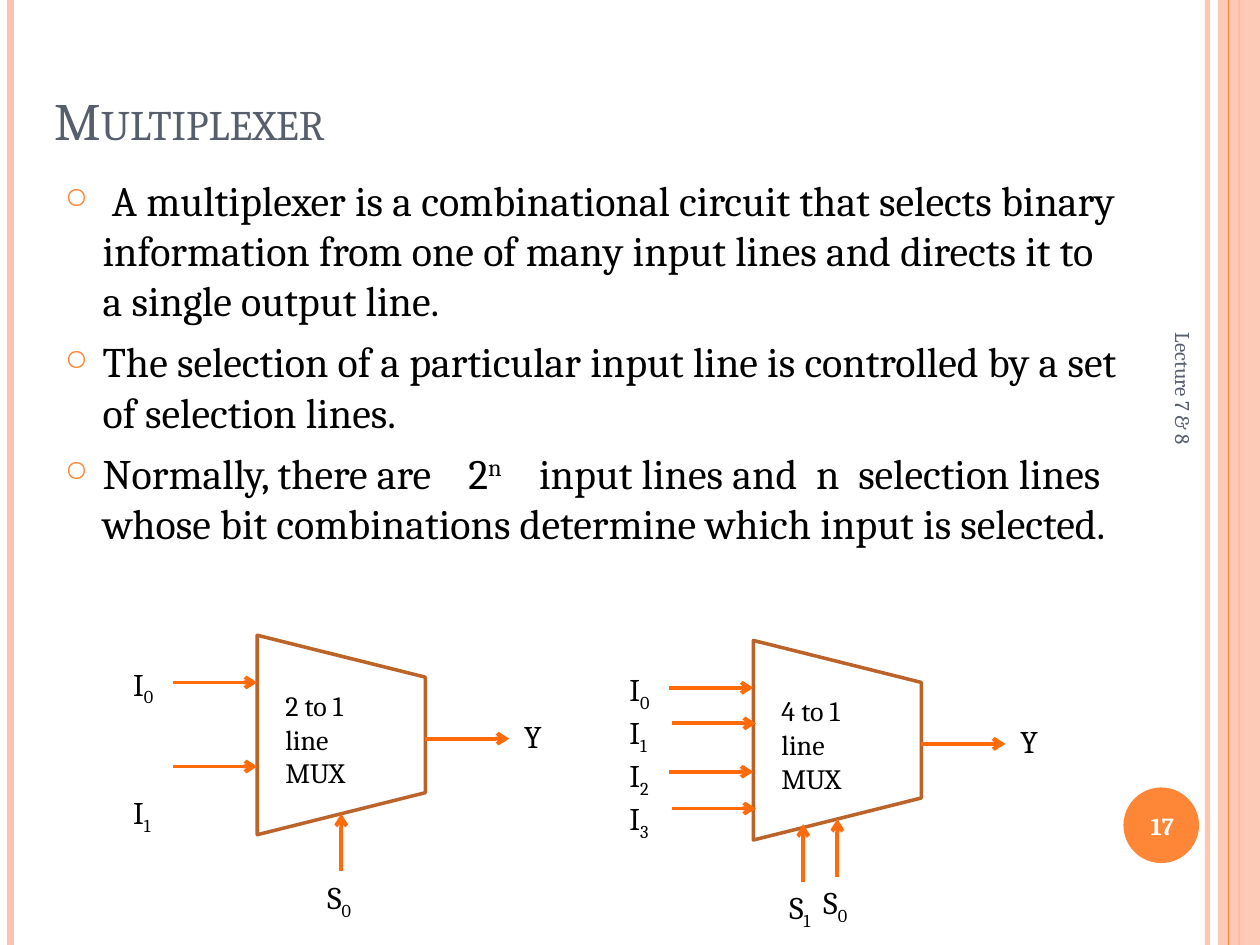
from lxml import etree
from pptx import Presentation, util as u
from pptx.dml.color import RGBColor
from pptx.enum import shapes, text
from pptx.oxml.ns import qn

COLUMNS, ROWS = 120, 90
PEACH, ORANGE, SLATE, BLACK, WHITE = "FEC3AE", "FE8637", "575F6D", "000000", "FFFFFF"
WIRE, BODY_EDGE = "FF6B0A", "BC6329"
SUBSCRIPT, SUPERSCRIPT = {"baseline": "-25000"}, {"baseline": "30000"}
WIDE_GAP, SMALL_GAP = (" ", {"spc": "1600"}), (" ", {"spc": "540"})


def color(value):
    return RGBColor.from_string(value)


def child(parent, tag, **values):
    node = etree.SubElement(parent, qn(tag))
    for name, value in values.items():
        node.set(name, value)
    return node


def fade(fill, share):
    node = fill._xPr.find(qn("a:solidFill"))[0]
    child(node, "a:alpha", val=str(share * 1000))


class Sketch:
    """Draws styled elements on one slide, measured in grid columns and rows."""

    def __init__(self, deck, font="Cambria"):
        self.font = font
        self.column = deck.slide_width / COLUMNS
        self.row = deck.slide_height / ROWS
        self.page = deck.slides.add_slide(deck.slide_layouts[5])

    def place(self, left, top, width, height):
        return [u.Emu(round(value * unit)) for value, unit in
                zip((left, top, width, height), (self.column, self.row) * 2)]

    def line(self, start, end, stroke, width, alpha=None, arrow=False):
        points = self.place(*start, *end)
        wire = self.page.shapes.add_connector(shapes.MSO_CONNECTOR.STRAIGHT, *points)
        wire.line.color.rgb = color(stroke)
        wire.line.width = u.Pt(width)
        child(wire._element.spPr, "a:effectLst")
        if alpha:
            fade(wire.line.fill, alpha)
        if arrow:
            child(wire.line._get_or_add_ln(), "a:tailEnd", type="arrow")

    def arrow(self, start, end):
        self.line(start, end, WIRE, 2.25, arrow=True)

    def shape(self, kind, area, fill=None, stroke=None, alpha=None, rotation=0):
        figure = self.page.shapes.add_shape(kind, *self.place(*area))
        figure.shadow.inherit = False
        figure.rotation = rotation
        if fill:
            figure.fill.solid()
            figure.fill.fore_color.rgb = color(fill)
        else:
            figure.fill.background()
        if stroke:
            figure.line.color.rgb = color(stroke)
            figure.line.width = u.Pt(2)
        else:
            figure.line.fill.background()
        if alpha:
            fade(figure.fill, alpha)

    def fill_text(self, box, paragraphs, size, ink=BLACK, bold=False, before=0,
                  align=text.PP_ALIGN.LEFT, anchor=text.MSO_ANCHOR.TOP, grow=False):
        frame = box.text_frame
        fit = text.MSO_AUTO_SIZE
        settings = {"word_wrap": True, "vertical_anchor": anchor,
                    "auto_size": fit.SHAPE_TO_FIT_TEXT if grow else fit.NONE}
        for name, value in settings.items():
            setattr(frame, name, value)
        for index, runs in enumerate(paragraphs):
            para = frame.add_paragraph() if index else frame.paragraphs[0]
            para.alignment = align
            para.space_before = u.Pt(before if index else 0)
            for words, extras in runs:
                span = para.add_run()
                span.text = words
                values = {"name": self.font, "size": u.Pt(size), "bold": bold}
                for name, value in values.items():
                    setattr(span.font, name, value)
                span.font.color.rgb = color(ink)
                for name, value in extras.items():
                    span._r.get_or_add_rPr().set(name, value)
        return frame

    def title(self, area, words):
        box = self.page.shapes.title
        box.left, box.top, box.width, box.height = self.place(*area)
        self.fill_text(box, [[(words, {"cap": "small"})]], 30, SLATE,
                       anchor=text.MSO_ANCHOR.BOTTOM)

    def text(self, area, paragraphs, size, rotation=0, **style):
        box = self.page.shapes.add_textbox(*self.place(*area))
        box.rotation = rotation
        return self.fill_text(box, paragraphs, size, **style)

    def bullets(self, area, paragraphs):
        frame = self.text(area, paragraphs, 24)
        for para in frame.paragraphs:
            para.space_before = u.Pt(6)
            layout = para._p.get_or_add_pPr()
            indent = u.Inches(0.3)
            layout.set("marL", str(indent))
            layout.set("indent", str(-indent))
            child(child(layout, "a:buClr"), "a:srgbClr", val=ORANGE)
            child(layout, "a:buSzPct", val="70000")
            child(layout, "a:buChar", char="○")

    def labels(self, area, letter, digits, before=0):
        names = [[(letter, {}), (str(digit), SUBSCRIPT)] for digit in digits]
        self.text(area, names, 18, before=before, grow=True)

    def multiplexer(self, x, y, name, input_rows, selects, label_gap):
        self.shape(shapes.MSO_SHAPE.TRAPEZOID, (x + 23, y + 62, 19, 16),
                   stroke=BODY_EDGE, rotation=90)
        self.text((x + 26, y + 65, 12.5, 11), [[(name, {})]], 16, grow=True)
        for shift, row in input_rows:
            self.arrow((x + shift + 16.5, y + row), (x + shift + 24.5, y + row))
        self.labels((x + 11.5, y + 62.7, 9, 13.3), "I", range(len(input_rows)), label_gap)
        self.arrow((x + 40.5, y + 70.35), (x + 48.5, y + 70.35))
        self.text((x + 48.75, y + 67.7, 7, 4.8), [[("Y", {})]], 18, grow=True)
        for digit, (shift, drop) in enumerate(selects):
            column, row = x + 32.5 + shift, y + 83 + drop
            self.arrow((column, row), (column, row - 5.5))
            self.labels((column - 2.5, row, 6, 5), "S", [digit])


def main():
    deck = Presentation()
    deck.slide_width, deck.slide_height = u.Inches(10), u.Inches(7.5)
    sketch = Sketch(deck)

    sketch.line((115, 0), (115, ROWS), PEACH, 3, alpha=93)
    sketch.line((1, 0), (1, ROWS), PEACH, 4.5)
    sketch.line((118, 0), (118, ROWS), ORANGE, 1.5)
    sketch.shape(shapes.MSO_SHAPE.RECTANGLE, (116, 0, 4, ROWS), fill=PEACH, alpha=87)
    sketch.line((117, 0), (117, ROWS), ORANGE, 0.75)
    sketch.shape(shapes.MSO_SHAPE.OVAL, (107, 75, 7.2, 7.2), fill=ORANGE)

    sketch.title((4, 0, 98, 15), "Multiplexer")
    sketch.bullets((5, 16, 103, 42), [
        [(" A multiplexer is a combinational circuit that selects binary information "
          "from one of many input lines and directs it to a single output line.", {})],
        [("The selection of a particular input line is controlled by a set of "
          "selection lines.", {})],
        [("Normally, there are", {}), WIDE_GAP, ("2", {}), ("n", SUPERSCRIPT), WIDE_GAP,
         ("input lines and", {}), SMALL_GAP, ("n", {}), SMALL_GAP,
         ("selection lines whose bit combinations determine which input is selected.", {})],
    ])
    middle = text.MSO_ANCHOR.MIDDLE
    sketch.text((106.7, 75.2, 8, 6.8), [[("17", {})]], 14, ink=WHITE, bold=True,
                align=text.PP_ALIGN.CENTER, anchor=middle)
    sketch.text((91.7, 49.1, 42, 4.8), [[("Lecture 7 & 8", {})]], 12, rotation=90,
                ink=SLATE, anchor=middle)

    sketch.multiplexer(0, 0, "2 to 1 line MUX", [(0, 65), (0, 73)], [(0, 0)], 49)
    sketch.multiplexer(47.25, 0.5, "4 to 1 line MUX",
                       [(0, 65), (0.25, 68.4), (0, 73), (0.25, 76.5)],
                       [(0, 0), (-3.25, 0.5)], 0)
    deck.save("out.pptx")


if __name__ == "__main__":
    main()
